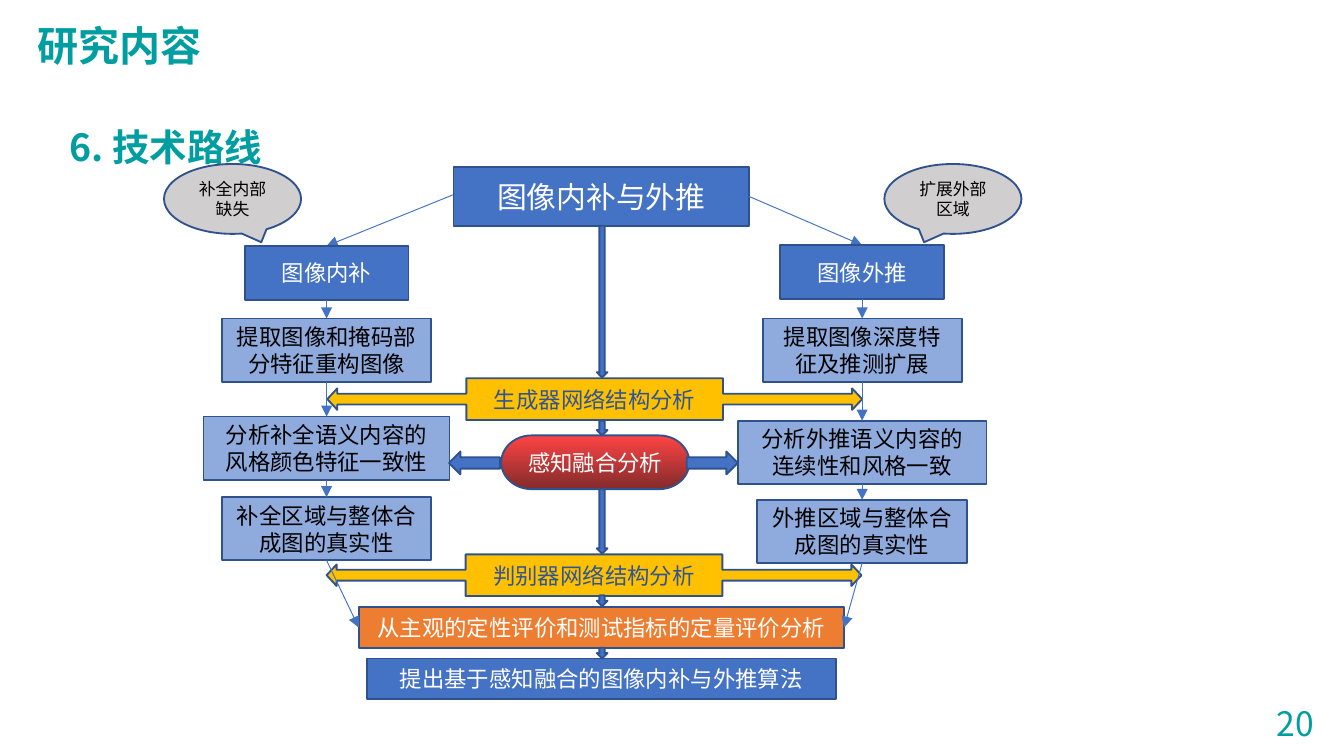
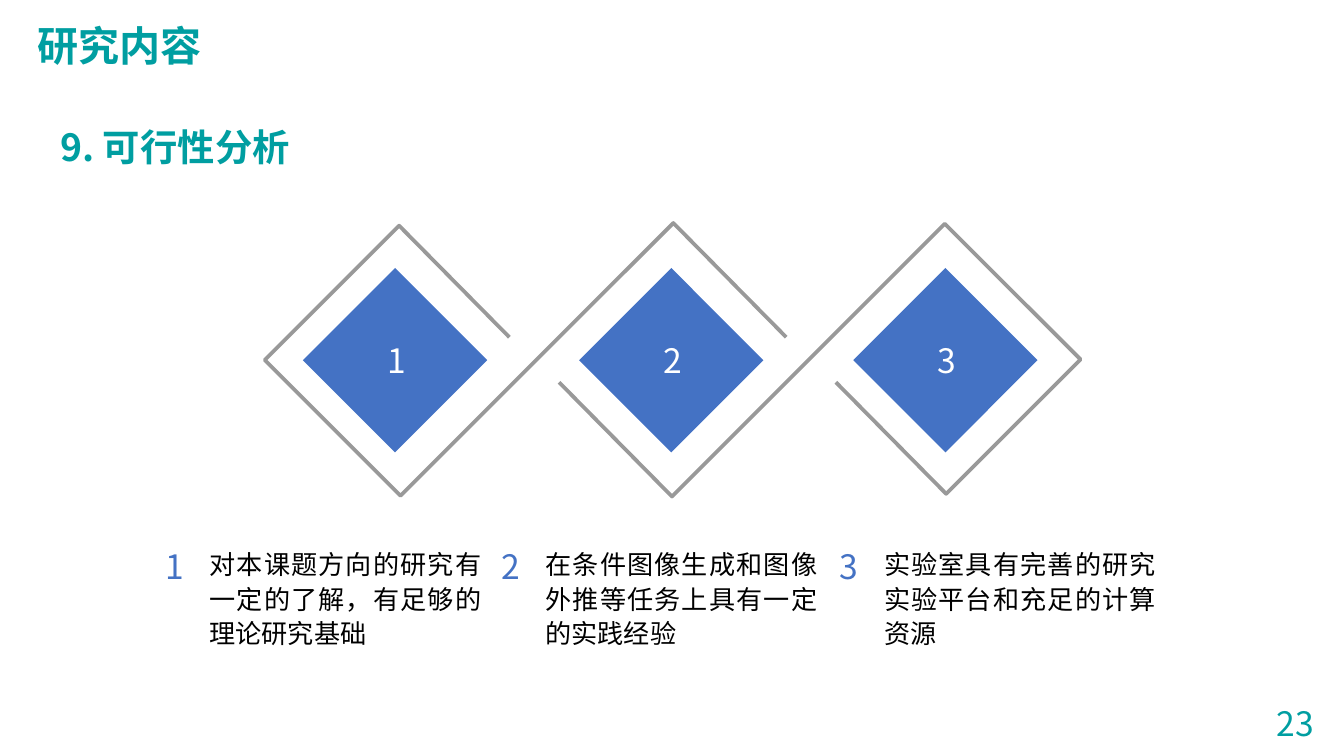
from lxml import etree
from pptx import Presentation
from pptx.dml.color import RGBColor
from pptx.enum.shapes import MSO_CONNECTOR, MSO_SHAPE as Shape
from pptx.enum.text import MSO_ANCHOR, MSO_AUTO_SIZE, PP_ALIGN as Align
from pptx.oxml.ns import qn
from pptx.util import Inches, Pt

TEAL = RGBColor(0x00, 0x9E, 0xA1)
BLUE = RGBColor(0x44, 0x72, 0xC4)
LIGHT_BLUE = RGBColor(0x8F, 0xAA, 0xDC)
DARK_BLUE = RGBColor(0x2F, 0x55, 0x97)
OUTLINE = RGBColor(0x2F, 0x52, 0x8F)
ORANGE = RGBColor(0xED, 0x7D, 0x31)
AMBER = RGBColor(0xFF, 0xC0, 0x00)
GREY = RGBColor(0xD0, 0xCE, 0xCE)
TRACK_GREY = RGBColor(0x99, 0x99, 0x99)
RED = RGBColor(0xFE, 0x44, 0x44)
DARK_RED = RGBColor(0x83, 0x2B, 0x2B)
WHITE = RGBColor(0xFF, 0xFF, 0xFF)
BLACK = RGBColor(0x00, 0x00, 0x00)

CJK_FONT = "Noto Sans CJK SC"
BODY_FONT = "Calibri"
COLUMNS, ROWS = 100, 56.25
CELL = Inches(0.1)

HEADING = {"alignment": Align.JUSTIFY, "line_spacing": 1.5, "space_after": Pt(12)}
BODY = {"alignment": Align.JUSTIFY, "line_spacing": 1.1}
CENTERED = {"alignment": Align.CENTER}


def cells(*counts):
    return [round(count * CELL) for count in counts]


class Deck:
    """Holds the shared style and the slide being drawn; lengths are grid cells."""

    def __init__(self):
        self.presentation = Presentation()
        width, height = cells(COLUMNS, ROWS)
        self.presentation.slide_width = width
        self.presentation.slide_height = height
        self.slide = None

    def new_slide(self, heading, heading_left, number):
        layout = self.presentation.slide_layouts[6]
        self.slide = self.presentation.slides.add_slide(layout)
        self.label(heading, heading_left, 7.1, 92.5, 6, 20, TEAL, HEADING, bold=True)
        self.label("研究内容", 1.8, 1, 14.2, 4.7, 22, TEAL, bold=True, wrap=False)
        self.label(number, 94, 51.8, 5, 4, 18, TEAL, wrap=False)

    def set_text(self, frame, text, size, color, layout, font=CJK_FONT, bold=False):
        paragraph = frame.paragraphs[0]
        for name, value in layout.items():
            setattr(paragraph, name, value)
        run = paragraph.add_run()
        run.text = text
        for name, value in {"name": font, "size": Pt(size), "bold": bold}.items():
            setattr(run.font, name, value)
        run.font.color.rgb = color
        etree.SubElement(run._r.get_or_add_rPr(), qn("a:ea"), typeface=CJK_FONT)

    def label(self, text, left, top, width, height, size, color, layout=None,
              font=CJK_FONT, bold=False, wrap=True):
        box = self.slide.shapes.add_textbox(*cells(left, top, width, height))
        box.text_frame.word_wrap = wrap
        box.text_frame.auto_size = MSO_AUTO_SIZE.SHAPE_TO_FIT_TEXT
        self.set_text(box.text_frame, text, size, color, layout or {}, font, bold)

    def paint(self, shape, fill, line=OUTLINE, weight=1):
        shape.shadow.inherit = False
        if fill is None:
            shape.fill.background()
        else:
            shape.fill.solid()
            shape.fill.fore_color.rgb = fill
        if line is None:
            shape.line.fill.background()
        else:
            shape.line.color.rgb = line
            shape.line.width = Pt(weight)

    def caption(self, shape, text, size, color):
        shape.text_frame.word_wrap = True
        shape.text_frame.vertical_anchor = MSO_ANCHOR.MIDDLE
        self.set_text(shape.text_frame, text, size, color, CENTERED)

    def block(self, center, top, width, height, fill, text="", color=WHITE, size=12,
              kind=Shape.RECTANGLE, line=OUTLINE, adjustments=()):
        """Draws a preset shape centred on a column."""
        shape = self.slide.shapes.add_shape(
            kind, *cells(center - width / 2, top, width, height))
        for index, value in enumerate(adjustments):
            shape.adjustments[index] = value
        self.paint(shape, fill, line)
        if text:
            self.caption(shape, text, size, color)
        return shape

    def outline(self, points, fill, line=OUTLINE, weight=1, close=True):
        start, *rest = [cells(*point) for point in points]
        builder = self.slide.shapes.build_freeform(*start)
        builder.add_line_segments(rest, close=close)
        shape = builder.convert_to_shape()
        self.paint(shape, fill, line, weight)
        return shape

    def two_way_banner(self, center, middle, text):
        """Draws a labelled bar with an arrow to each side."""
        body, tip, neck = 9.55, 19.9, 19.15
        half_height, head, shaft = 1.55, 0.8, 0.4
        right = [(body, -half_height), (body, -shaft), (neck, -shaft), (neck, -head),
                 (tip, 0), (neck, head), (neck, shaft), (body, shaft),
                 (body, half_height)]
        left = [(-x, y) for x, y in reversed(right)]
        banner = self.outline([(center + x, middle + y) for x, y in right + left], AMBER)
        self.caption(banner, text, 12, DARK_BLUE)

    def link(self, start, end):
        connector = self.slide.shapes.add_connector(
            MSO_CONNECTOR.STRAIGHT, *cells(*start, *end))
        connector.line.color.rgb = BLUE
        connector.line.width = Pt(0.5)
        properties = connector.element.spPr
        etree.SubElement(properties.find(qn("a:ln")), qn("a:tailEnd"), type="triangle")
        etree.SubElement(properties, qn("a:effectLst"))


def draw_branch(deck, axis, steps, root_end, result_end):
    """Draws one side of the flow and links its steps from root to result."""
    deck.link(root_end, (axis, steps[0][1]))
    for index, (text, top, width, height) in enumerate(steps):
        fill, color = (LIGHT_BLUE, BLACK) if index else (BLUE, WHITE)
        deck.block(axis, top, width, height, fill, text, color)
    for (_, top, _, height), following in zip(steps, steps[1:]):
        deck.link((axis, top + height), (axis, following[1]))
    _, top, _, height = steps[-1]
    deck.link((axis, top + height), result_end)


def draw_route(deck):
    deck.new_slide("6. 技术路线", 4.2, "20")
    spine, arrow_axis = 44.75, 44.8
    deck.block(spine, 12.4, 22, 4.4, BLUE, "图像内补与外推", size=16)
    for center, tail, text in ((17.3, 0.21, "补全内部缺失"), (70.9, -0.21, "扩展外部区域")):
        deck.block(center, 12.2, 10.2, 5.2, GREY, text, BLACK, 9,
                   Shape.OVAL_CALLOUT, adjustments=(tail, 0.62))
    deck.two_way_banner(44.25, 29.7, "生成器网络结构分析")
    deck.two_way_banner(44.2, 42.8, "判别器网络结构分析")
    deck.block(spine, 45.2, 36.1, 3, ORANGE, "从主观的定性评价和测试指标的定量评价分析")
    deck.block(spine, 49, 34.9, 3, BLUE, "提出基于感知融合的图像内补与外推算法")

    inpainting = [("图像内补", 18.3, 12.2, 4),
                  ("提取图像和掩码部分特征重构图像", 23.7, 15.6, 4.7),
                  ("分析补全语义内容的风格颜色特征一致性", 31, 18.3, 4.7),
                  ("补全区域与整体合成图的真实性", 37, 15.6, 4.7)]
    outpainting = [("图像外推", 18.25, 12.2, 4),
                   ("提取图像深度特征及推测扩展", 23.7, 14.8, 4.7),
                   ("分析外推语义内容的连续性和风格一致", 31.3, 18.5, 4.7),
                   ("外推区域与整体合成图的真实性", 37.2, 15.6, 4.7)]
    draw_branch(deck, 24.3, inpainting, (33.7, 14.5), (26.7, 46.7))
    draw_branch(deck, 64.15, outpainting, (55.7, 14.6), (62.8, 46.7))

    fusion = deck.block(44.3, 32.4, 14, 4, RED, "感知融合分析",
                        kind=Shape.FLOWCHART_TERMINATOR)
    fusion.fill.gradient()
    fusion.fill.gradient_angle = 270
    for stop, color in zip(fusion.fill.gradient_stops, (RED, DARK_RED)):
        stop.color.rgb = color
    for center, kind in ((35.3, Shape.LEFT_ARROW), (53, Shape.RIGHT_ARROW)):
        deck.block(center, 33.6, 3.8, 1.7, BLUE, kind=kind)
    for top, height in ((16.8, 11.3), (31.3, 1.1), (36.4, 4.8), (44.3, 0.8), (48.2, 0.8)):
        deck.block(arrow_axis, top, 0.8, height, BLUE, kind=Shape.DOWN_ARROW)


def draw_feasibility(deck):
    deck.new_slide("9. 可行性分析", 3.5, "23")
    track = [(58.5, 25.1), (50.1, 16.6), (29.8, 36.9), (19.7, 26.8),
             (29.7, 16.8), (37.9, 25.1)]
    half_turn = [(100.1 - x, 53.55 - y) for x, y in track]
    for points in (track, half_turn):
        deck.outline(points, None, TRACK_GREY, 2, close=False)

    reasons = [(29.4, 11.3, "对本课题方向的研究有一定的了解，有足够的理论研究基础"),
               (49.95, 36.3, "在条件图像生成和图像外推等任务上具有一定的实践经验"),
               (70.35, 61.5, "实验室具有完善的研究实验平台和充足的计算资源")]
    for number, (center, left, reason) in enumerate(reasons, 1):
        diamond = deck.block(center, 21.95, 9.7, 9.7, BLUE, line=None)
        diamond.rotation = 315
        deck.label(str(number), center - 6.65, 24.8, 13.5, 4, 18, WHITE, CENTERED)
        deck.label(str(number), left, 40.1, 17.7, 4, 18, BLUE)
        deck.label(reason, left + 3.3, 40.1, 22.2, 8.7, 14, BLACK, BODY, BODY_FONT)


def main():
    deck = Deck()
    draw_route(deck)
    draw_feasibility(deck)
    deck.presentation.save("out.pptx")


if __name__ == "__main__":
    main()
